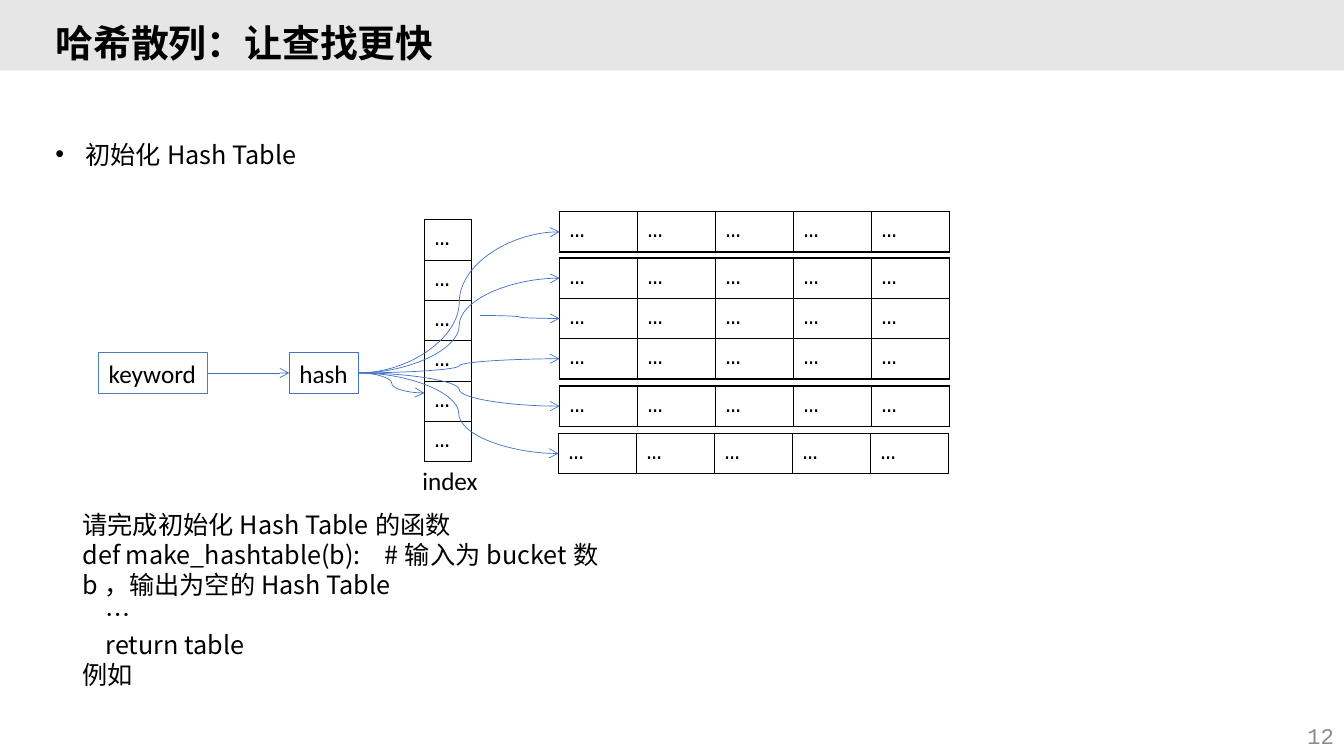
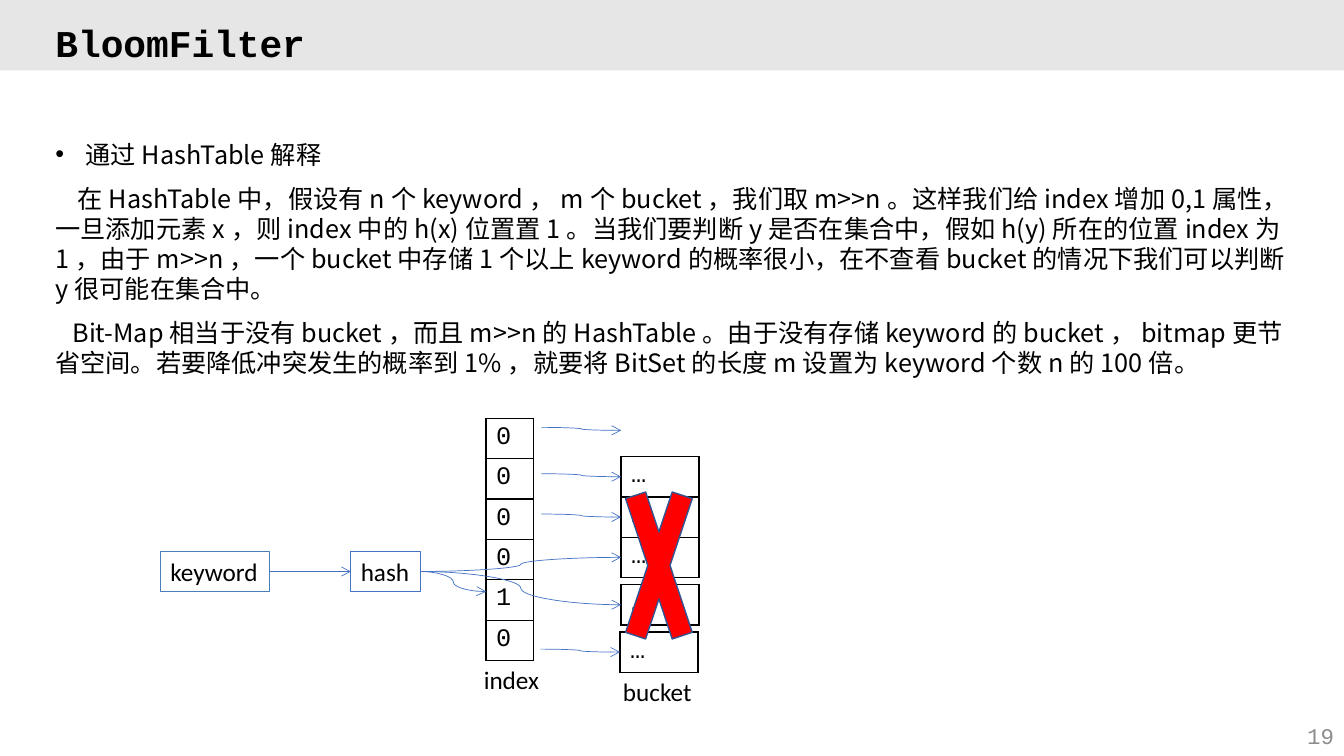
from lxml import etree
from pptx import Presentation
from pptx.dml.color import RGBColor
from pptx.enum.shapes import MSO_CONNECTOR, MSO_SHAPE
from pptx.enum.text import MSO_ANCHOR, MSO_AUTO_SIZE, PP_ALIGN
from pptx.oxml.ns import qn
from pptx.util import Inches, Pt

STRAIGHT, CURVE = MSO_CONNECTOR.STRAIGHT, MSO_CONNECTOR.CURVE
RECT, CROSS = MSO_SHAPE.RECTANGLE, MSO_SHAPE.MATH_MULTIPLY
LEFT, RIGHT = PP_ALIGN.LEFT, PP_ALIGN.RIGHT
MIDDLE = MSO_ANCHOR.MIDDLE

BLACK, GRAY, BAND = "000000", "8C8C8C", "E7E6E6"
BLUE, BOX_BLUE, DARK_BLUE, RED = "4472C4", "4A7EBB", "325491", "FF0000"
MONO, LABEL, CJK = "Courier New", "Calibri", "Noto Sans CJK SC"

ROW_H = 0.4
INDEX_W, BUCKET_W = 0.47, 0.774
HASH_RIGHT, HASH_Y = 3.56, 3.7
INDEX_X, INDEX_Y = 4.21, 2.18
BUCKET_X = 5.55
BUCKET_TOPS = [2.1, 2.56, 2.96, 3.36, 3.83, 4.3]


def rgb(value):
    return RGBColor.from_string(value)


def box(x, y, w, h):
    return [Inches(v) for v in (x, y, w, h)]


def write(p, text, font=LABEL, size=18, color=BLACK, bold=False, ea=None,
          align=LEFT):
    """Add a formatted run; ea names the East Asian font."""
    p.alignment = align
    r = p.add_run()
    r.text = text
    r.font.name, r.font.size, r.font.bold = font, Pt(size), bold
    r.font.color.rgb = rgb(color)
    if ea:
        etree.SubElement(r.font._element, qn("a:ea"), typeface=ea)


def add_shape(slide, kind, frame, fill=None, line=None, width=0.75):
    sp = slide.shapes.add_shape(kind, *box(*frame))
    sp.shadow.inherit = False
    if fill:
        sp.fill.solid()
        sp.fill.fore_color.rgb = rgb(fill)
    else:
        sp.fill.background()
    if line:
        sp.line.color.rgb = rgb(line)
        sp.line.width = Pt(width)
    else:
        sp.line.fill.background()
    return sp


def add_label(slide, text, x, y, w):
    tf = slide.shapes.add_textbox(*box(x, y, w, ROW_H)).text_frame
    tf.word_wrap = False
    write(tf.paragraphs[0], text)


def add_node(slide, text, x, y, w, line):
    tf = add_shape(slide, RECT, (x, y, w, ROW_H), line=line).text_frame
    tf.word_wrap = False
    write(tf.paragraphs[0], text)


def add_arrow(slide, x1, y1, x2, y2, kind=CURVE):
    c = slide.shapes.add_connector(kind, *box(x1, y1, x2, y2))
    c.line.color.rgb = rgb(BLUE)
    c.line.width = Pt(0.5)
    etree.SubElement(c.line._get_or_add_ln(), qn("a:tailEnd"), type="arrow")
    etree.SubElement(c.element.spPr, qn("a:effectLst"))


def outline_cell(cell):
    cell.fill.background()
    tcPr = cell._tc.get_or_add_tcPr()
    for i, side in enumerate(("a:lnL", "a:lnR", "a:lnT", "a:lnB")):
        ln = etree.Element(qn(side), w=str(Pt(1)))
        fill = etree.SubElement(ln, qn("a:solidFill"))
        etree.SubElement(fill, qn("a:srgbClr"), val=BLACK)
        tcPr.insert(i, ln)


def add_grid(slide, rows, x, y, col_w):
    n_rows, n_cols = len(rows), len(rows[0])
    table = slide.shapes.add_table(
        n_rows, n_cols, *box(x, y, col_w * n_cols, ROW_H * n_rows)).table
    table.first_row = table.horz_banding = False
    for col in table.columns:
        col.width = Inches(col_w)
    for row, texts in zip(table.rows, rows):
        row.height = Inches(ROW_H)
        for cell, text in zip(row.cells, texts):
            outline_cell(cell)
            write(cell.text_frame.paragraphs[0], text, font=MONO)


def add_body(slide, paragraphs, frame, after=0):
    """Write (text, left margin, first-line indent, bulleted) paragraphs."""
    tf = slide.shapes.add_textbox(*box(*frame)).text_frame
    tf.word_wrap = True
    for i, (text, margin, indent, bulleted) in enumerate(paragraphs):
        p = tf.add_paragraph() if i else tf.paragraphs[0]
        p.line_spacing = Pt(21.5)
        p.space_after = Pt(after)
        pPr = p._p.get_or_add_pPr()
        pPr.set("marL", str(Inches(margin)))
        pPr.set("indent", str(Inches(indent)))
        if bulleted:
            etree.SubElement(pPr, qn("a:buFont"), typeface="Arial")
            etree.SubElement(pPr, qn("a:buChar"), char="•")
        write(p, text, font=CJK, ea=CJK)


def add_slide(prs, title, number):
    slide = prs.slides.add_slide(prs.slide_layouts.get_by_name("Title Only"))
    sp = slide.shapes.title
    sp.left, sp.top, sp.width, sp.height = box(0.45, 0.11, 12.51, 0.68)
    tf = sp.text_frame
    tf.auto_size = MSO_AUTO_SIZE.NONE
    tf.vertical_anchor = MIDDLE
    tf.paragraphs[0].line_spacing = 0.9
    write(tf.paragraphs[0], title, font=MONO, size=27, bold=True, ea=CJK)
    band = add_shape(slide, RECT, (0, 0, 13.33, 0.7), fill=BAND)
    sp.element.addprevious(band.element)

    tf = slide.shapes.add_textbox(*box(10.33, 7.1, 3, 0.4)).text_frame
    tf.vertical_anchor = MIDDLE
    write(tf.paragraphs[0], str(number), font=MONO, size=16, color=GRAY,
          align=RIGHT)
    return slide


def add_hash_diagram(slide, index, buckets, hashed, dx=0, dy=0):
    """Draw keyword, hash, index and buckets, shifted by dx and dy.

    buckets holds the cell texts of each row (None for no bucket);
    hashed holds the rows whose arrow starts at the hash box.
    """
    hash_x, hash_y = HASH_RIGHT + dx, HASH_Y + dy
    index_x, bucket_x = INDEX_X + dx, BUCKET_X + dx
    node_y = hash_y - ROW_H / 2
    add_node(slide, "keyword", 0.98 + dx, node_y, 1.08, BOX_BLUE)
    add_node(slide, "hash", 2.87 + dx, node_y, 0.69, BLUE)
    add_arrow(slide, 2.06 + dx, hash_y, 2.87 + dx, hash_y, STRAIGHT)
    add_grid(slide, [[text] for text in index], index_x, INDEX_Y + dy, INDEX_W)
    add_arrow(slide, hash_x, hash_y, index_x, hash_y + ROW_H / 2)
    add_label(slide, "index", 4.09 + dx, 4.57 + dy, 0.76)

    for i, (top, cells) in enumerate(zip(BUCKET_TOPS, buckets)):
        x = bucket_x - (0.01 if i == len(BUCKET_TOPS) - 1 else 0)
        target_y = top + dy + ROW_H / 2
        if cells:
            add_grid(slide, [cells], x, top + dy, BUCKET_W)
        if i in hashed:
            add_arrow(slide, hash_x, hash_y, x, target_y)
        else:
            add_arrow(slide, x - 0.79, target_y - 0.03, x, target_y)


def hash_table_slide(prs):
    slide = add_slide(prs, "哈希散列：让查找更快", 12)
    add_body(slide, [("初始化Hash Table", 0.3, -0.3, True)],
             (0.45, 1.33, 12.51, 0.4))
    add_hash_diagram(slide, ["…"] * 6, [["…"] * 5] * 6, {0, 1, 3, 4, 5})
    add_body(slide, [
        ("请完成初始化Hash Table的函数", 0.19, 0, False),
        ("def make_hashtable(b):\t#输入为bucket数b，输出为空的Hash Table",
         0.19, 0, False),
        ("…", 0.42, 0, False),
        ("return table", 0.42, 0, False),
        ("例如", 0.19, 0, False),
    ], (0.53, 5, 6, 1.92))


def bloom_filter_slide(prs):
    slide = add_slide(prs, "BloomFilter", 19)
    add_body(slide, [
        ("通过HashTable解释", 0.3, -0.3, True),
        ("在HashTable中，假设有n个keyword，m个bucket，我们取m>>n。"
         "这样我们给index增加0,1属性，一旦添加元素x，则index中的h(x)位置置1。"
         "当我们要判断y是否在集合中，假如h(y)所在的位置index为1，由于m>>n，"
         "一个bucket中存储1个以上keyword的概率很小，"
         "在不查看bucket的情况下我们可以判断y很可能在集合中。", 0, 0.22, False),
        ("Bit-Map相当于没有bucket，而且m>>n的HashTable。"
         "由于没有存储keyword的bucket，bitmap更节省空间。"
         "若要降低冲突发生的概率到1%，"
         "就要将BitSet的长度m设置为keyword个数n的100倍。", 0, 0.17, False),
    ], (0.45, 1.33, 12.51, 2.6), after=10)
    add_hash_diagram(slide, "000010", [None] + [["…"]] * 5, {3, 4},
                     dx=0.61, dy=1.97)
    add_label(slide, "bucket", 6.08, 6.66, 0.89)
    add_shape(slide, CROSS, (6.09, 4.27, 0.89, 2.68), fill=RED,
              line=DARK_BLUE, width=1)


def main():
    prs = Presentation()
    prs.slide_width, prs.slide_height = Inches(13.33), Inches(7.5)
    hash_table_slide(prs)
    bloom_filter_slide(prs)
    prs.save("out.pptx")


if __name__ == "__main__":
    main()
